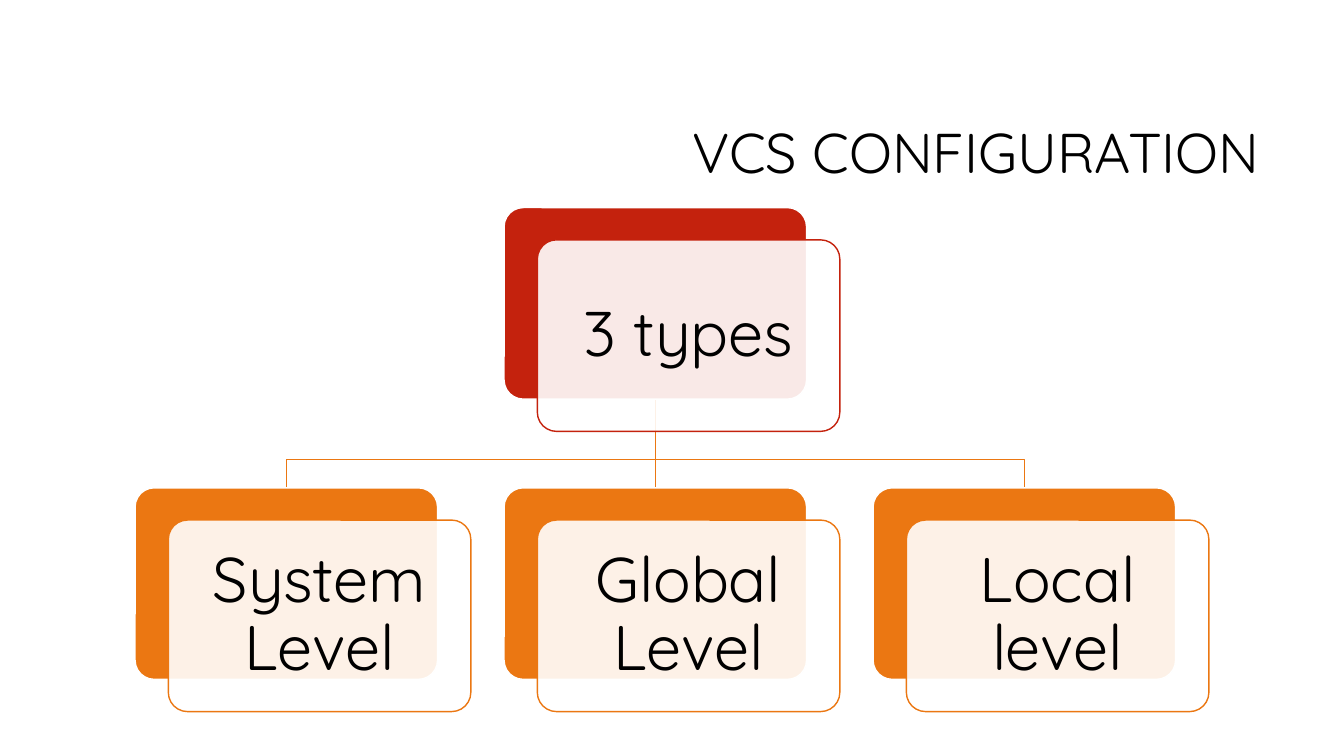
from lxml.etree import SubElement
from pptx import Presentation
from pptx.dml.color import RGBColor
from pptx.enum.shapes import MSO_CONNECTOR as Connector, MSO_SHAPE as Shape
from pptx.enum.text import MSO_ANCHOR as Anchor, PP_ALIGN as Align
from pptx.oxml.ns import qn
from pptx.util import Inches, Pt

BLACK = RGBColor(0x00, 0x00, 0x00)
WHITE = RGBColor(0xFF, 0xFF, 0xFF)
RED = RGBColor(0xC4, 0x22, 0x0D)
ORANGE = RGBColor(0xEB, 0x77, 0x12)
FONT = "Quicksand"

CARD_WIDTH, CARD_HEIGHT = 3, 1.9
COLUMN_STEP, ROW_STEP = 3.66, 2.78
OFFSET_X, OFFSET_Y = 0.33, 0.32
BEND = 0.28  # height of the branch line above the lower row
LEVELS = ["System Level", "Global Level", "Local level"]


def write_text(shape, text, size, align, margin=None):
    frame = shape.text_frame
    frame.word_wrap = True
    frame.vertical_anchor = Anchor.MIDDLE
    if margin is not None:
        frame.margin_left = frame.margin_right = Inches(margin)
        frame.margin_top = frame.margin_bottom = Inches(margin)
    paragraph = frame.paragraphs[0]
    paragraph.text = text
    paragraph.alignment = align
    paragraph.line_spacing = 0.9
    paragraph.font.name = FONT
    paragraph.font.size = Pt(size)
    paragraph.font.color.rgb = BLACK


def add_title(slide, left, top, width, height):
    title = slide.shapes.add_textbox(
        Inches(left), Inches(top), Inches(width), Inches(height))
    write_text(title, "VCS CONFIGURATION", 40, Align.RIGHT)


def add_panel(slide, left, top, fill, line):
    panel = slide.shapes.add_shape(
        Shape.ROUNDED_RECTANGLE, Inches(left), Inches(top),
        Inches(CARD_WIDTH), Inches(CARD_HEIGHT))
    panel.adjustments[0] = 0.1
    panel.shadow.inherit = False
    panel.fill.solid()
    panel.fill.fore_color.rgb = fill
    panel.line.color.rgb = line
    panel.line.width = Pt(1)
    return panel


def add_card(slide, left, top, text, color):
    """Coloured panel with a translucent label panel; returns the coloured one."""
    back = add_panel(slide, left, top, color, WHITE)
    label = add_panel(slide, left + OFFSET_X, top + OFFSET_Y, WHITE, color)
    fill_color = label.element.spPr.find(qn("a:solidFill"))[0]
    SubElement(fill_color, qn("a:alpha"), val="90000")
    write_text(label, text, 45, Align.CENTER, margin=0.19)
    return back


def style_branch(branch):
    branch.line.color.rgb = ORANGE
    branch.line.width = Pt(1)
    # Branches run behind the cards
    branch.element.getparent().insert(2, branch.element)


def add_straight_branch(slide, parent, child):
    branch = slide.shapes.add_connector(Connector.STRAIGHT, 0, 0, 0, 0)
    branch.begin_connect(parent, 2)
    branch.end_connect(child, 0)
    SubElement(branch.element.spPr, qn("a:effectLst"))
    style_branch(branch)


def add_bent_branch(slide, parent, child):
    start_x = parent.left + parent.width // 2
    end_x = child.left + child.width // 2
    bend_y = child.top - Inches(BEND)
    builder = slide.shapes.build_freeform(start_x, parent.top + parent.height)
    builder.add_line_segments(
        [(start_x, bend_y), (end_x, bend_y), (end_x, child.top)], close=False)
    branch = builder.convert_to_shape()
    branch.fill.background()
    branch.shadow.inherit = False
    style_branch(branch)


def add_hierarchy(slide, left, top):
    # Root above the middle column, levels in the row below
    root = add_card(slide, left + COLUMN_STEP, top, "3 types", RED)
    levels = [
        add_card(slide, left + column * COLUMN_STEP, top + ROW_STEP, text, ORANGE)
        for column, text in enumerate(LEVELS)
    ]
    # Branches
    system, middle, local = levels
    add_bent_branch(slide, root, system)
    add_straight_branch(slide, root, middle)
    add_bent_branch(slide, root, local)


def main():
    presentation = Presentation()
    presentation.slide_width = Inches(13.33)
    presentation.slide_height = Inches(7.5)
    slide = presentation.slides.add_slide(presentation.slide_layouts[6])
    add_title(slide, 3.17, 0.84, 9.42, 1.41)
    add_hierarchy(slide, 1.34, 2.06)
    presentation.save("out.pptx")


if __name__ == "__main__":
    main()
